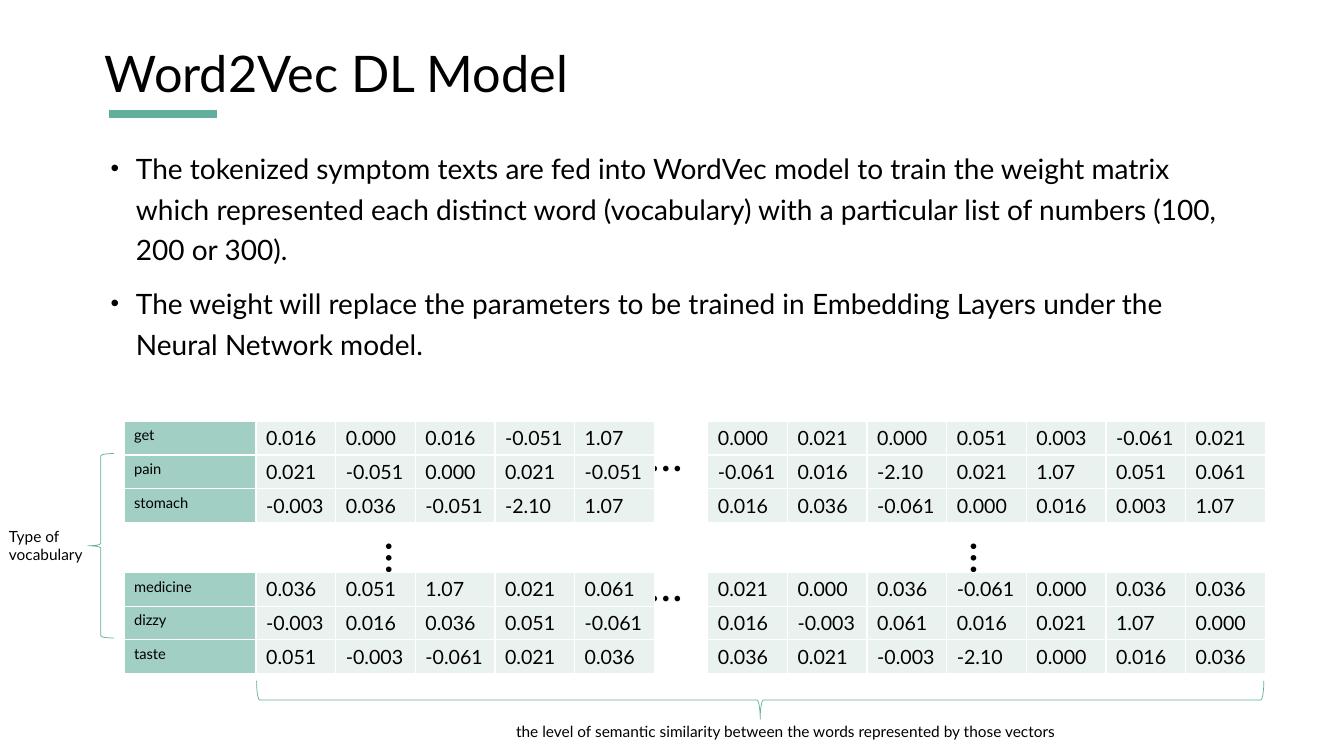
from lxml import etree
from pptx import Presentation
from pptx.dml.color import RGBColor
from pptx.enum.shapes import MSO_CONNECTOR, MSO_SHAPE
from pptx.enum.text import MSO_ANCHOR, PP_ALIGN
from pptx.oxml.ns import qn
from pptx.util import Inches, Pt

STRAIGHT = MSO_CONNECTOR.STRAIGHT
LEFT_BRACE = MSO_SHAPE.LEFT_BRACE
TOP, MIDDLE = MSO_ANCHOR.TOP, MSO_ANCHOR.MIDDLE
LEFT, JUSTIFY = PP_ALIGN.LEFT, PP_ALIGN.JUSTIFY

BLACK = RGBColor(0x00, 0x00, 0x00)
WHITE = RGBColor(0xFF, 0xFF, 0xFF)
GREEN = RGBColor(0x63, 0xAF, 0x9D)
WORD_FILL = RGBColor(0xA1, 0xCF, 0xC4)
VALUE_FILL = RGBColor(0xEA, 0xF2, 0xEF)
FONT = "Lato"

WORD_WIDTH, VALUE_WIDTH, ROW_HEIGHT = 1.31, 0.79, 0.33
LEFT_TABLE, RIGHT_TABLE = 1.23, 7.02
UPPER_TABLE, LOWER_TABLE = 4.18, 5.68

BULLETS = [
    "The tokenized symptom texts are fed into WordVec model to train the weight matrix "
    "which represented each distinct word (vocabulary) with a particular list of numbers "
    "(100, 200 or 300).",
    "The weight will replace the parameters to be trained in Embedding Layers under the "
    "Neural Network model.",
]
VECTOR_TABLES = [
    (LEFT_TABLE, UPPER_TABLE, [
        "get 0.016 0.000 0.016 -0.051 1.07",
        "pain 0.021 -0.051 0.000 0.021 -0.051",
        "stomach -0.003 0.036 -0.051 -2.10 1.07"]),
    (LEFT_TABLE, LOWER_TABLE, [
        "medicine 0.036 0.051 1.07 0.021 0.061",
        "dizzy -0.003 0.016 0.036 0.051 -0.061",
        "taste 0.051 -0.003 -0.061 0.021 0.036"]),
    (RIGHT_TABLE, UPPER_TABLE, [
        "0.000 0.021 0.000 0.051 0.003 -0.061 0.021",
        "-0.061 0.016 -2.10 0.021 1.07 0.051 0.061",
        "0.016 0.036 -0.061 0.000 0.016 0.003 1.07"]),
    (RIGHT_TABLE, LOWER_TABLE, [
        "0.021 0.000 0.036 -0.061 0.000 0.036 0.036",
        "0.016 -0.003 0.061 0.016 0.021 1.07 0.000",
        "0.036 0.021 -0.003 -2.10 0.000 0.016 0.036"]),
]


def write(para, text, size, color=BLACK, align=LEFT):
    """Write one formatted span into a paragraph."""
    para.alignment = align
    span = para.add_run()
    span.text = text
    span.font.name = FONT
    span.font.size = Pt(size)
    span.font.color.rgb = color


def add_bullet(para):
    """Give a paragraph a hanging round bullet."""
    properties = para._p.get_or_add_pPr()
    properties.set("marL", str(Inches(0.25)))
    properties.set("indent", str(-Inches(0.25)))
    etree.SubElement(properties, qn("a:buSzPct"), val="87000")
    etree.SubElement(properties, qn("a:buFont"), typeface="Arial")
    etree.SubElement(properties, qn("a:buChar"), char="•")


def add_text(page, left, top, width, height, texts, size,
             align=LEFT, anchor=TOP, bulleted=False, vertical=False):
    """Add a wrapped text box with one paragraph per text."""
    box = page.shapes.add_textbox(Inches(left), Inches(top), Inches(width), Inches(height))
    frame = box.text_frame
    frame.word_wrap = True
    frame.vertical_anchor = anchor
    if vertical:
        frame._txBody.bodyPr.set("vert", "eaVert")
    for index, text in enumerate(texts):
        para = frame.add_paragraph() if index else frame.paragraphs[0]
        if bulleted:
            add_bullet(para)
            para.line_spacing = 1.2
        if index:
            para.space_before = Pt(10)
        write(para, text, size, align=align)


def add_brace(page, left, top, width, height, rotation=0):
    """Add a thin green brace."""
    brace = page.shapes.add_shape(
        LEFT_BRACE, Inches(left), Inches(top), Inches(width), Inches(height))
    brace.rotation = rotation
    brace.shadow.inherit = False
    brace.fill.background()
    brace.line.color.rgb = GREEN
    brace.line.width = Pt(0.5)


def add_title_rule(page):
    """Add the thick green rule under the title."""
    rule = page.shapes.add_connector(
        STRAIGHT, Inches(1.08), Inches(1.13), Inches(2.15), Inches(1.13))
    rule.line.color.rgb = GREEN
    rule.line.width = Pt(6)
    etree.SubElement(rule._element.spPr, qn("a:effectLst"))


def add_borders(cell):
    """Draw white one-point borders on all sides of a cell."""
    properties = cell._tc.get_or_add_tcPr()
    for side in ("lnL", "lnR", "lnT", "lnB"):
        line = etree.SubElement(properties, qn(f"a:{side}"), w=str(Pt(1)))
        fill = etree.SubElement(line, qn("a:solidFill"))
        etree.SubElement(fill, qn("a:srgbClr"), val=str(WHITE))


def add_vector_table(page, left, top, lines):
    """Add a table of vector values, with words in darker cells."""
    rows = [line.split() for line in lines]
    widths = [WORD_WIDTH if text.isalpha() else VALUE_WIDTH for text in rows[0]]
    table = page.shapes.add_table(
        len(rows), len(widths), Inches(left), Inches(top),
        Inches(sum(widths)), Inches(ROW_HEIGHT * len(rows))).table
    table.first_row = False
    table.horz_banding = False
    for column, width in zip(table.columns, widths):
        column.width = Inches(width)
    for row, texts in zip(table.rows, rows):
        row.height = Inches(ROW_HEIGHT)
        for cell, text in zip(row.cells, texts):
            is_word = text.isalpha()
            add_borders(cell)
            cell.fill.solid()
            cell.fill.fore_color.rgb = WORD_FILL if is_word else VALUE_FILL
            write(cell.text_frame.paragraphs[0], text, 10.5 if is_word else 14)


def main():
    """Build the word vector slide and save it."""
    deck = Presentation()
    deck.slide_width, deck.slide_height = Inches(13.33), Inches(7.5)
    page = deck.slides.add_slide(deck.slide_layouts[6])

    add_title_rule(page)
    add_text(page, 0.94, 0.34, 11.33, 0.76, ["Word2Vec DL Model"], 36, anchor=MIDDLE)
    add_text(page, 1, 1.39, 11.33, 2.5, BULLETS, 20, bulleted=True)

    add_brace(page, 0.87, 4.5, 0.26, 1.83)
    add_brace(page, 7.35, 1.95, 0.38, 9.99, rotation=270)
    add_text(page, -0.01, 5.18, 0.94, 0.47, ["Type of vocabulary"], 11)
    add_text(page, 5.02, 7.11, 5.88, 0.29, [
        "the level of semantic similarity between the words represented by those vectors"], 11)

    for top in (4.18, 5.47):
        add_text(page, 6.34, top, 0.42, 0.64, ["…"], 32, align=JUSTIFY)
    for left in (9.44, 3.64):
        add_text(page, left, 5.27, 0.74, 0.41, ["…"], 32,
                 align=JUSTIFY, anchor=MIDDLE, vertical=True)
    for left, top, lines in VECTOR_TABLES:
        add_vector_table(page, left, top, lines)

    deck.save("out.pptx")


if __name__ == "__main__":
    main()
